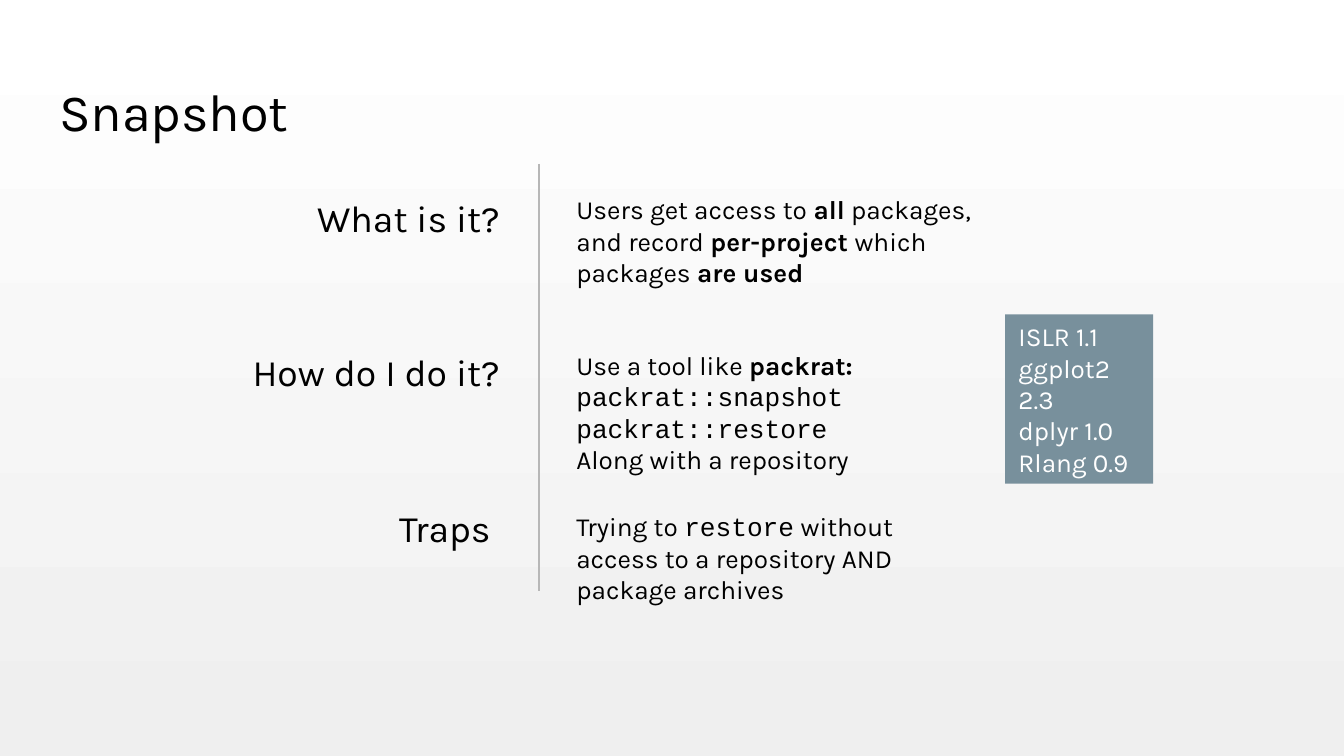
from pptx import Presentation
from pptx.util import Inches, Pt
from pptx.dml.color import RGBColor
from pptx.enum import shapes, text
from pptx.oxml.ns import qn
from lxml import etree

SANS, MONO = "Karla", "Courier New"
LEFT, RIGHT = text.PP_ALIGN.LEFT, text.PP_ALIGN.RIGHT
TOP, MIDDLE = text.MSO_ANCHOR.TOP, text.MSO_ANCHOR.MIDDLE


def paint(target, color):
    """Give a fill or a font a hex colour."""
    if hasattr(target, "solid"):
        target.solid()
        target.fore_color.rgb = RGBColor.from_string(color)
    else:
        target.color.rgb = RGBColor.from_string(color)


def write(shape, paras, size, color="000000", align=LEFT, anchor=TOP):
    """Fill a shape; a run is (words, style), style "b" bold or "m" mono."""
    frame = shape.text_frame
    frame.word_wrap = True
    frame.auto_size = text.MSO_AUTO_SIZE.NONE
    frame.vertical_anchor = anchor
    frame.margin_left = frame.margin_right = Inches(0.1)
    frame.margin_top = frame.margin_bottom = Inches(0.1)
    for i, runs in enumerate(paras):
        para = frame.add_paragraph() if i else frame.paragraphs[0]
        para.alignment = align
        para.font.size = Pt(size)
        para.font.name = SANS
        paint(para.font, color)
        for words, style in runs:
            for j, line in enumerate(words.split("\n")):
                if j:
                    para.add_line_break()
                if line:
                    run = para.add_run()
                    run.text = line
                    if style == "b":
                        run.font.bold = True
                    elif style == "m":
                        run.font.name = MONO


def add_text(slide, box, *args, **kw):
    shape = slide.shapes.add_textbox(*map(Inches, box))
    write(shape, *args, **kw)


def add_title(slide, box, words):
    title = slide.shapes.title
    title.left, title.top, title.width, title.height = map(Inches, box)
    write(title, [[(words, "")]], 28)


def add_rule(slide, x, top, bottom):
    line = slide.shapes.add_connector(
        shapes.MSO_CONNECTOR.STRAIGHT, *map(Inches, (x, top, x, bottom)))
    paint(line.line.fill, "B7B7B7")
    line.line.width = Pt(0.75)
    props = line._element.find(qn("p:spPr"))
    etree.SubElement(props, qn("a:effectLst"))


def add_card(slide, box, paras):
    card = slide.shapes.add_shape(
        shapes.MSO_SHAPE.RECTANGLE, *map(Inches, box))
    card.shadow.inherit = False
    paint(card.fill, "78909C")
    card.line.fill.background()
    write(card, paras, 14, "FFFFFF", anchor=MIDDLE)


def add_row(slide, box, label, runs, shift=0, drop=0, wide=2.74, high=0.47):
    """Right-aligned label, then its answer across the rule."""
    left, top, width, height = box
    add_text(slide, (left + shift, top, width, height),
             [[(label, "")]], 20, align=RIGHT)
    add_text(slide, (left + 3.4, top + drop, wide, high), [runs], 14)


def main():
    prs = Presentation()
    prs.slide_width = Inches(10)
    prs.slide_height = prs.slide_width * 9 // 16
    slide = prs.slides.add_slide(prs.slide_layouts[5])

    # Background, white fading to grey downwards
    back = slide.background.fill
    back.gradient()
    back.gradient_angle = 270
    for stop, color in zip(back.gradient_stops, ("FFFFFF", "EFEFEF")):
        paint(stop, color)

    add_title(slide, (0.34, 0.49, 9.32, 0.63), "Snapshot")
    add_rule(slide, 4.01, 1.22, 4.4)

    # Questions and answers
    rows = [
        (1.35, "What is it?",
         [("Users get access to ", ""), ("all", "b"),
          (" packages, and record ", ""), ("per-project", "b"),
          (" which packages ", ""), ("are used", "b")],
         dict(drop=-0.01, wide=3.25, high=0.78)),
        (2.5, "How do I do it?",
         [("Use a tool like ", ""), ("packrat:\n", "b"),
          ("packrat::snapshot\npackrat::restore\n", "m"),
          ("Along with a repository", "")], {}),
        (3.66, "Traps",
         [("Trying to ", ""), ("restore", "m"),
          (" without access to a repository AND package archives", "")],
         dict(shift=-0.07, drop=0.04)),
    ]
    for top, label, runs, place in rows:
        add_row(slide, (0.79, top, 3.03, 0.47), label, runs, **place)

    # Recorded package versions
    add_card(slide, (7.48, 2.34, 1.1, 1.26),
             [[("ISLR 1.1\nggplot2 2.3", "")],
              [("dplyr 1.0\nRlang 0.9", "")]])

    prs.save("out.pptx")


if __name__ == "__main__":
    main()
